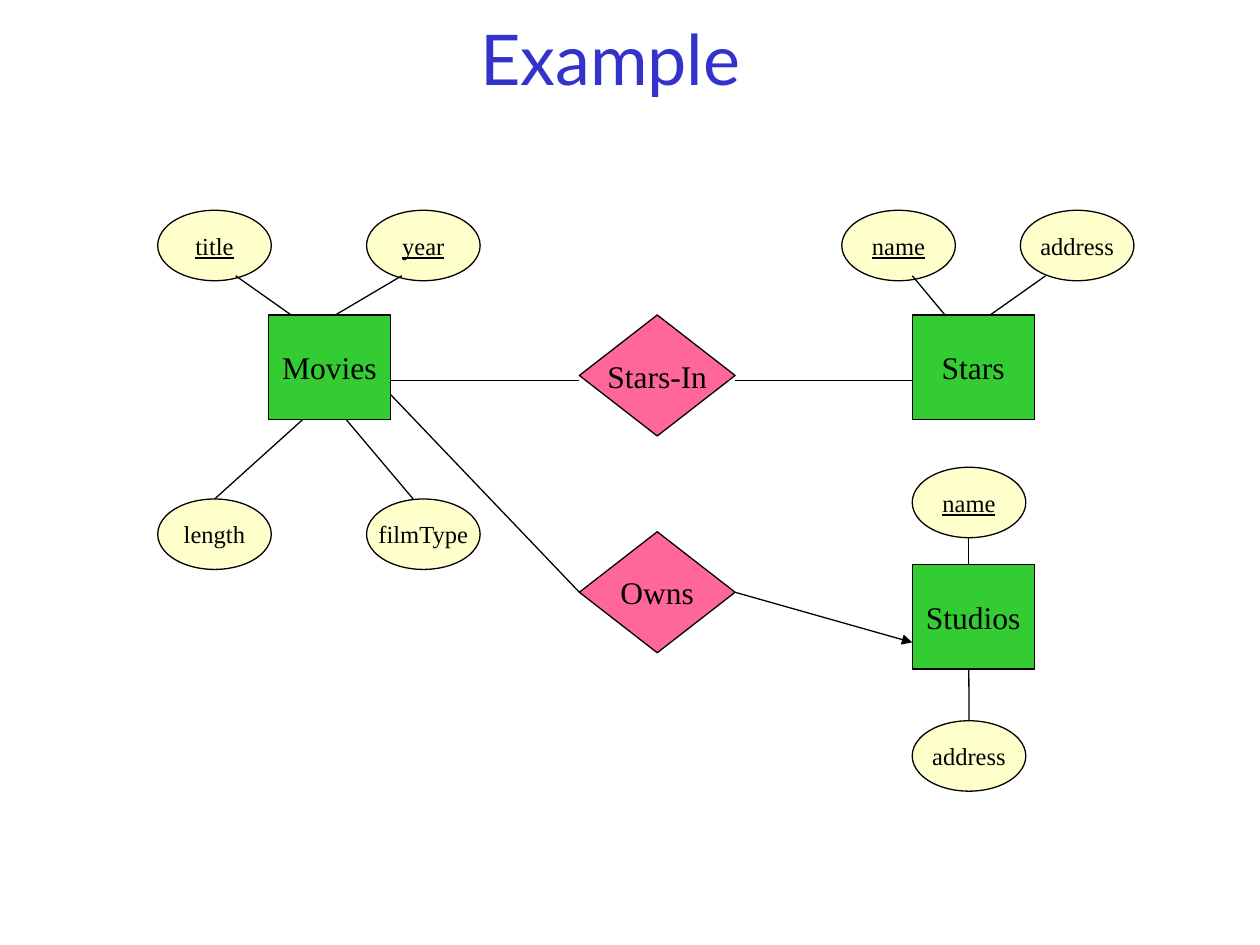
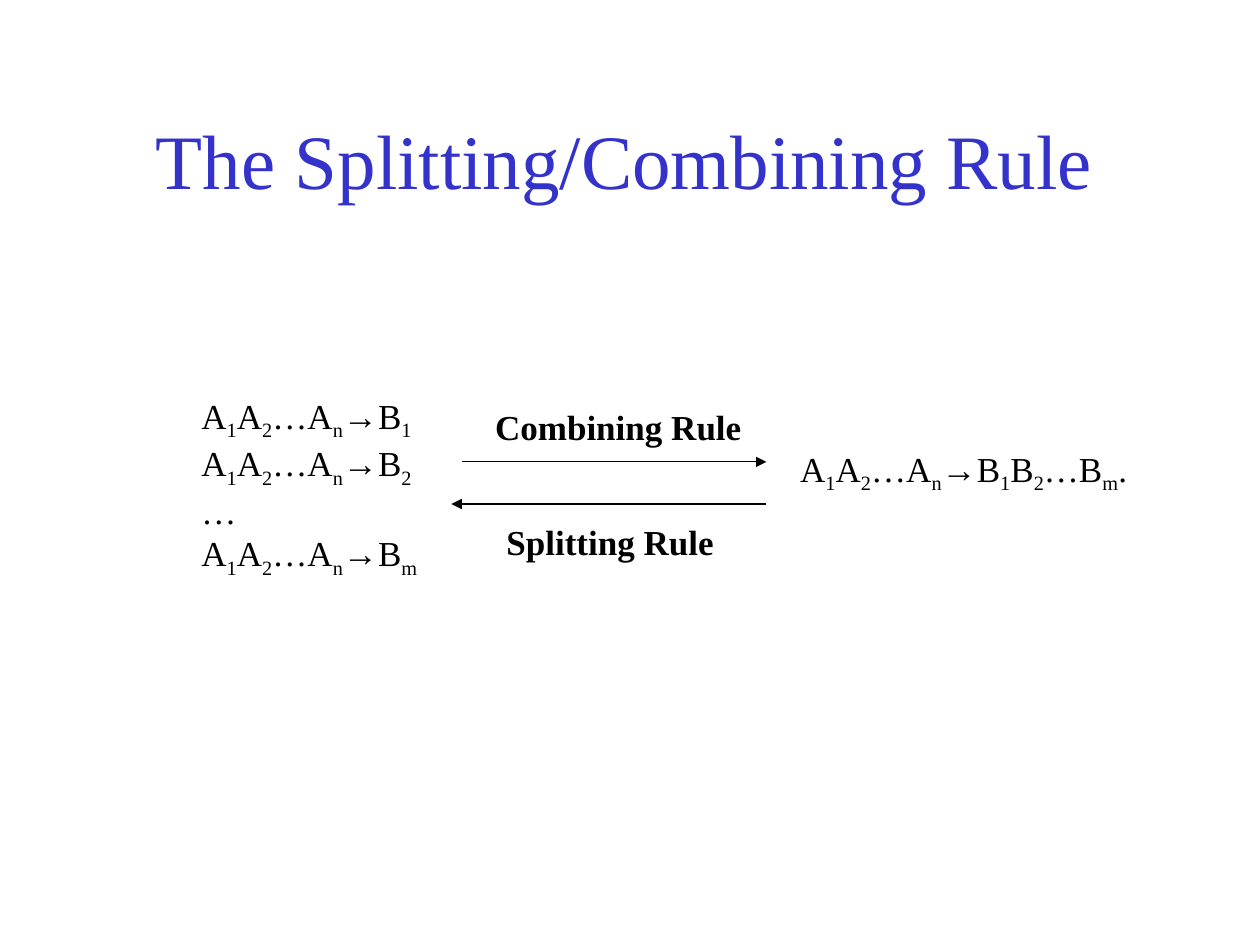
from itertools import groupby
from lxml.etree import SubElement
from pptx import Presentation
from pptx.dml.color import RGBColor
from pptx.enum.shapes import MSO_CONNECTOR, MSO_SHAPE
from pptx.enum.text import MSO_ANCHOR, MSO_AUTO_SIZE, PP_ALIGN
from pptx.oxml.ns import qn
from pptx.util import Cm, Pt

SERIF = "Times New Roman"
BLUE, BLACK = "3333CC", "000000"
GREEN, PINK, CREAM = "33CC33", "FF6699", "FFFFCC"


def write(par, text, size, color=BLACK, font=SERIF):
    run = par.add_run()
    run.text = text
    run.font.size = Pt(size)
    run.font.name = font
    run.font.color.rgb = RGBColor.from_string(color)
    return run


def link(slide, ends, arrow=False):
    """Draw a thin black line through ends (x1, y1, x2, y2 in cm)."""
    line = slide.shapes.add_connector(MSO_CONNECTOR.STRAIGHT, *map(Cm, ends))
    line.line.color.rgb = RGBColor.from_string(BLACK)
    line.line.width = Pt(0.75)
    props = line._element.spPr
    if arrow:
        SubElement(props.find(qn("a:ln")), qn("a:tailEnd"), type="triangle")
    SubElement(props, qn("a:effectLst"))
    return line


prs = Presentation()
prs.slide_width, prs.slide_height = Cm(25.4), Cm(19.05)

# Slides and their titles
titles = [
    ("Example ", 40, "Lato", (0, 0.43, 24.97, 1.47)),
    ("The Splitting/Combining Rule", 44, SERIF, (1.7, 2.34, 21.79, 1.7)),
]
for text, size, font, area in titles:
    slide = prs.slides.add_slide(prs.slide_layouts[5])
    title = slide.shapes.title
    title.left, title.top, title.width, title.height = map(Cm, area)
    frame = title.text_frame
    frame.auto_size = MSO_AUTO_SIZE.NONE
    frame.vertical_anchor = MSO_ANCHOR.MIDDLE
    par = frame.paragraphs[0]
    par.alignment = PP_ALIGN.CENTER
    write(par, text, size, BLUE, font)
model, rule = prs.slides

# Entity-relationship diagram: shape, size, fill and text size of each kind
kinds = {
    "entity": (MSO_SHAPE.RECTANGLE, 2.46, 2.11, GREEN, 18),
    "relation": (MSO_SHAPE.DIAMOND, 3.14, 2.44, PINK, 18),
    "field": (MSO_SHAPE.OVAL, 2.29, 1.42, CREAM, 14),
    "key": (MSO_SHAPE.OVAL, 2.29, 1.42, CREAM, 14),
}
nodes = [
    ("entity", "Movies", "Movies", 5.41, 6.35),
    ("entity", "Stars", "Stars", 18.39, 6.35),
    ("entity", "Studios", "Studios", 18.39, 11.38),
    ("relation", "Stars-In", "Stars-In", 11.68, 6.35),
    ("relation", "Owns", "Owns", 11.68, 10.72),
    ("key", "Movies", "title", 3.18, 4.24),
    ("key", "Movies", "year", 7.39, 4.24),
    ("field", "Movies", "length", 3.18, 10.06),
    ("field", "Movies", "filmType", 7.39, 10.06),
    ("key", "Stars", "name", 16.97, 4.24),
    ("field", "Stars", "address", 20.57, 4.24),
    ("key", "Studios", "name", 18.39, 9.42),
    ("field", "Studios", "address", 18.39, 14.53),
]
drawn = {}
for kind, owner, text, left, top in nodes:
    form, width, height, fill, size = kinds[kind]
    node = model.shapes.add_shape(form, *map(Cm, (left, top, width, height)))
    node.shadow.inherit = False
    node.fill.solid()
    node.fill.fore_color.rgb = RGBColor.from_string(fill)
    node.line.color.rgb = RGBColor.from_string(BLACK)
    node.line.width = Pt(0.75)
    frame = node.text_frame
    frame.word_wrap = False
    frame.vertical_anchor = MSO_ANCHOR.MIDDLE
    par = frame.paragraphs[0]
    par.alignment = PP_ALIGN.CENTER
    run = write(par, text, size)
    if kind == "key":
        run.font.underline = True
    drawn[owner, text] = node

for ends in [
    (11.68, 7.67, 7.87, 7.67),
    (14.82, 7.67, 18.39, 7.67),
    (8.33, 10.06, 6.98, 8.46),
    (4.75, 5.56, 5.87, 6.35),
    (8.1, 5.56, 6.76, 6.35),
    (18.39, 5.56, 19.05, 6.35),
    (21.08, 5.56, 19.96, 6.35),
    (19.53, 10.84, 19.53, 11.38),
]:
    link(model, ends)

# Lines that start at the middle of a side
for owner, text, side, ends, arrow in [
    ("Movies", "length", 0, (4.32, 10.06, 6.1, 8.46), False),
    ("Studios", "address", 0, (19.53, 14.53, 19.53, 13.49), False),
    ("Owns", "Owns", 1, (11.68, 11.94, 7.87, 7.95), False),
    ("Owns", "Owns", 3, (14.82, 11.94, 18.39, 12.95), True),
]:
    link(model, ends, arrow).begin_connect(drawn[owner, text], side)

# Dependencies: indices are lowered, the arrow sign has its own font
split = ["A1A2…An→B1", "A1A2…An→B2", "…", "A1A2…An→Bm"]
for lines, level, area in [
    (split, 1, (2.54, 7.82, 6.99, 3.99)),
    (["A1A2…An→B1B2…Bm."], 0, (15.88, 8.89, 7.62, 1.22)),
    (["Combining Rule"], 0, (9.73, 8.05, 5.92, 1.12)),
    (["Splitting Rule"], 0, (9.96, 10.36, 5.28, 1.12)),
]:
    frame = rule.shapes.add_textbox(*map(Cm, area)).text_frame
    frame.word_wrap = True
    frame.auto_size = MSO_AUTO_SIZE.SHAPE_TO_FIT_TEXT
    for pos, text in enumerate(lines):
        par = frame.add_paragraph() if pos else frame.paragraphs[0]
        par.level = level
        if text.endswith("Rule"):
            write(par, text, 20).font.bold = True
            continue
        for low, part in groupby(text, lambda sign: sign in "12nm"):
            for sign, chars in groupby(part, lambda sign: sign == "→"):
                run = write(par, "".join(chars), 20, font="Arial" if sign else SERIF)
                if low:
                    run._r.get_or_add_rPr().set("baseline", "-25000")

link(rule, (9.31, 9.31, 15.45, 9.31), True)
link(rule, (15.45, 10.16, 9.1, 10.16), True)

prs.save("out.pptx")
